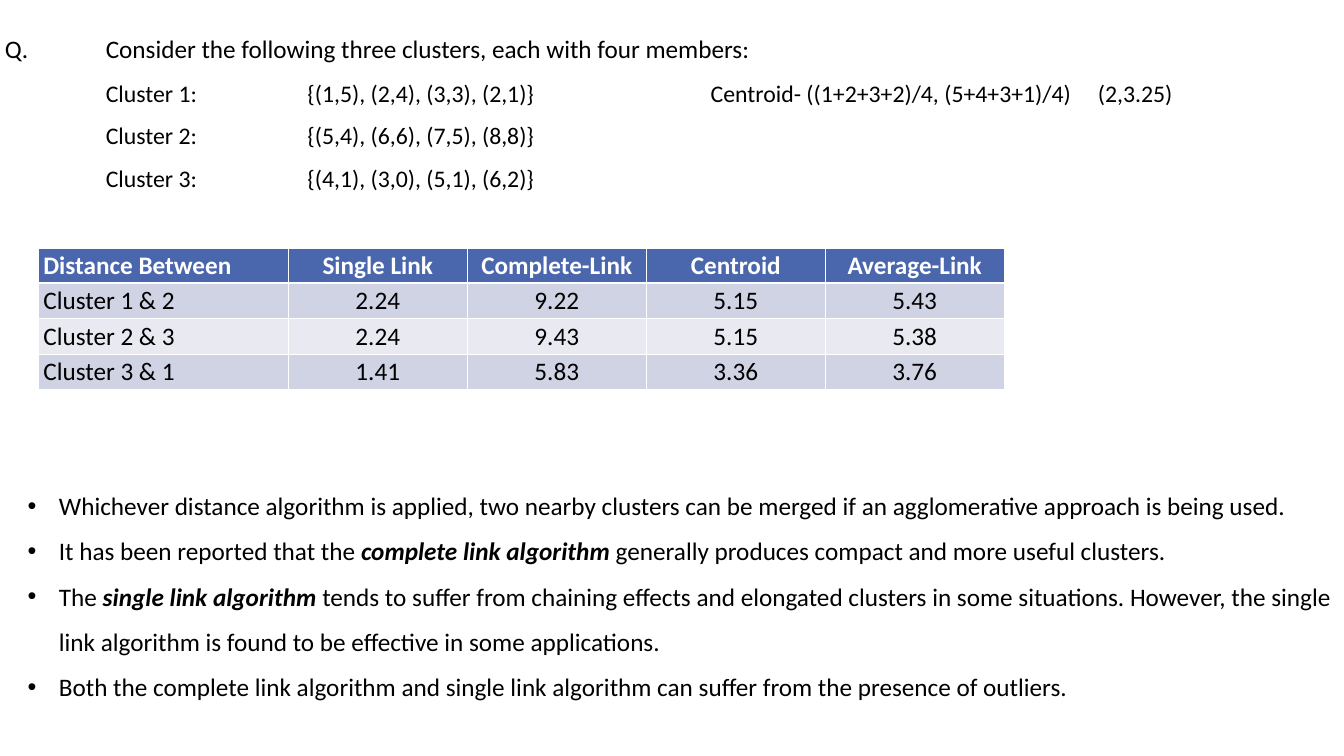
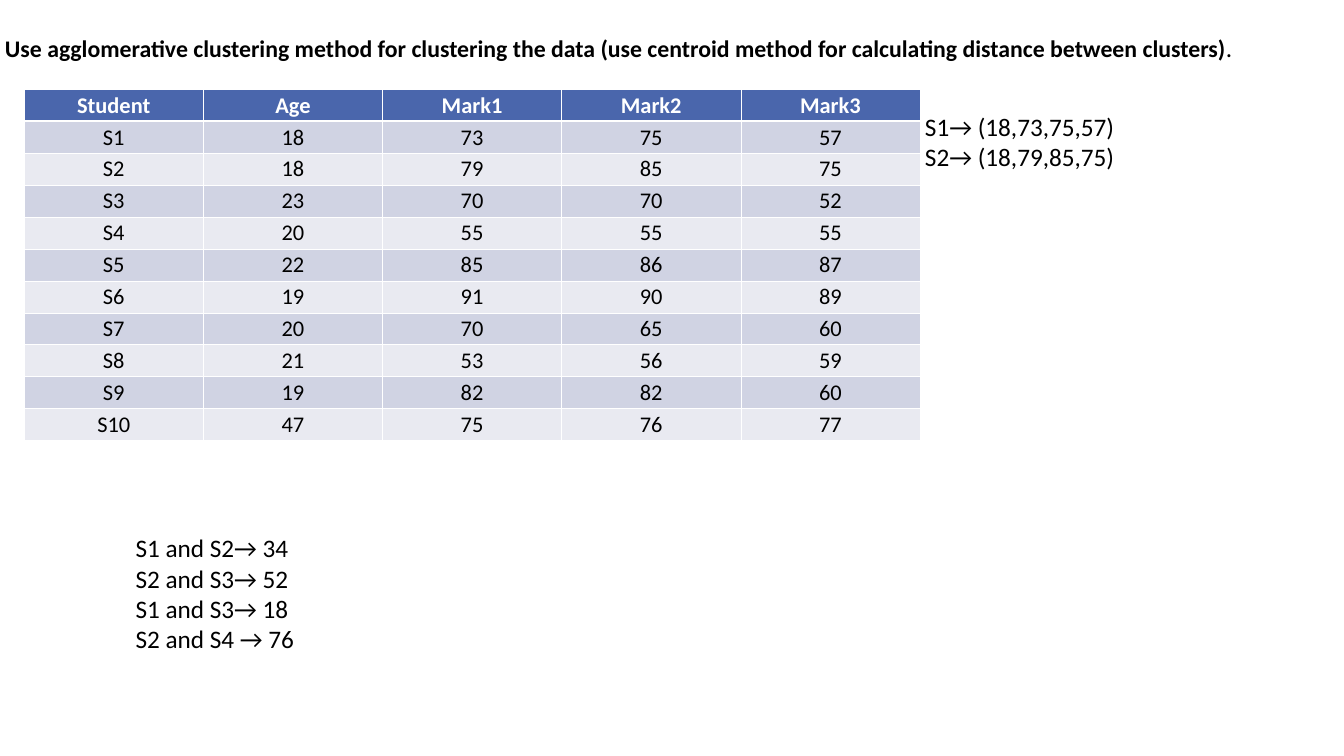
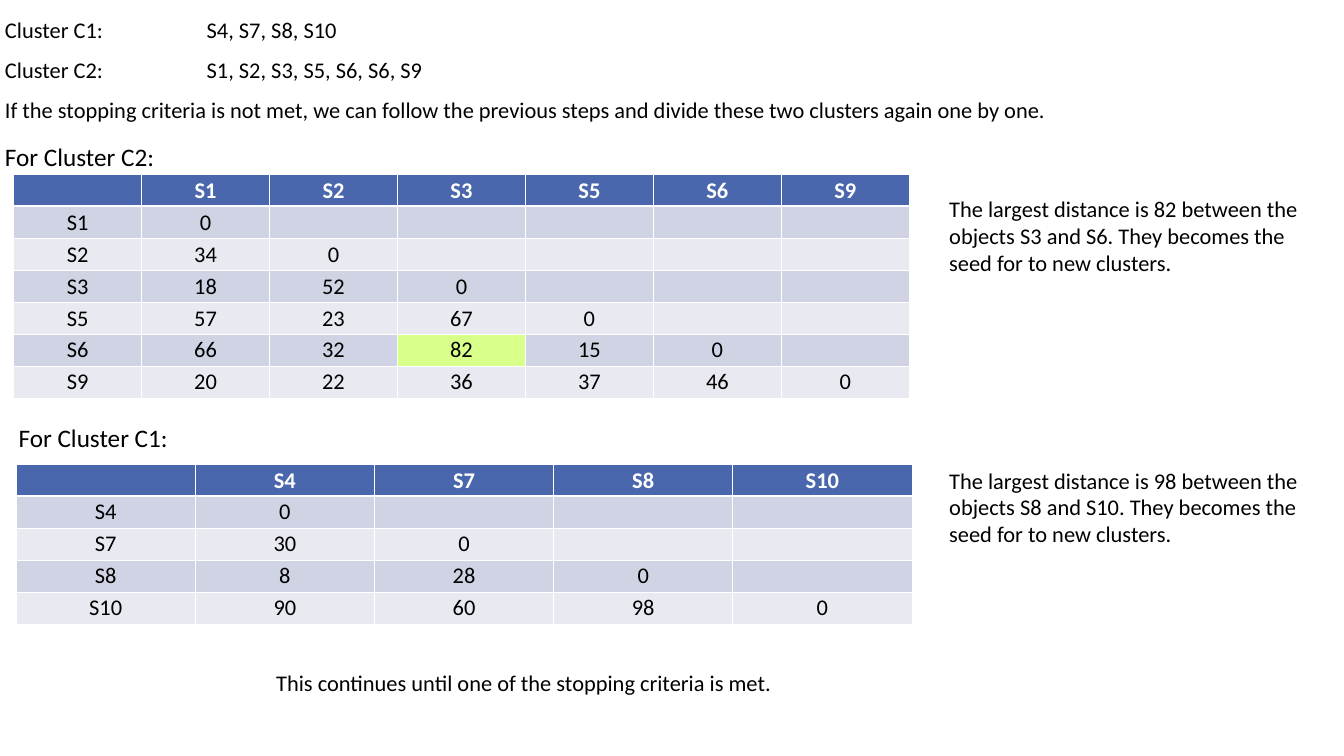
"""Builds three slides of worked cluster analysis examples."""
from lxml import etree
from pptx import Presentation
from pptx.dml.color import RGBColor
from pptx.enum.text import MSO_AUTO_SIZE, PP_ALIGN
from pptx.oxml.ns import qn
from pptx.util import Inches, Pt

CENTER, LEFT = PP_ALIGN.CENTER, PP_ALIGN.LEFT
GROW = MSO_AUTO_SIZE.SHAPE_TO_FIT_TEXT
FONT = "Calibri"
COLORS = {"header": "4A66AC", "odd": "D0D3E3", "even": "E9EAF1", "mark": "D8FF89",
          "border": "FFFFFF", "header_text": "FFFFFF", "text": "000000"}
BORDERS = {"lnL": 1, "lnR": 1, "lnT": 1, "lnB": 1}
STRONG = {"bold": True, "italic": True}
SLIDE_SIZE = (26.66, 15)
TABLE_WIDTH = 17.77
BULLET_INDENT = 0.62

QUESTION = ["Q.\tConsider the following three clusters, each with four members:"]
MEMBERS = [
    "\tCluster 1:\t{(1,5), (2,4), (3,3), (2,1)}\tCentroid- ((1+2+3+2)/4, (5+4+3+1)/4)\t(2,3.25)",
    "\tCluster 2:\t{(5,4), (6,6), (7,5), (8,8)}",
    "\tCluster 3:\t{(4,1), (3,0), (5,1), (6,2)}",
]
MEMBER_TABS = [2, 6, 14, 21.68]
LINK_DISTANCES = [
    ["Distance Between", "Single Link", "Complete-Link", "Centroid", "Average-Link"],
    ["Cluster 1 & 2", "2.24", "9.22", "5.15", "5.43"],
    ["Cluster 2 & 3", "2.24", "9.43", "5.15", "5.38"],
    ["Cluster 3 & 1", "1.41", "5.83", "3.36", "3.76"],
]
LINK_NOTES = [
    "Whichever distance algorithm is applied, two nearby clusters can be merged if an "
    "agglomerative approach is being used.",
    [("It has been reported that the ", {}), ("complete link algorithm", STRONG),
     (" generally produces compact and more useful clusters.", {})],
    [("The ", {}), ("single link algorithm", STRONG),
     (" tends to suffer from chaining effects and elongated clusters in some situations. "
      "However, the single link algorithm is found to be effective in some applications.", {})],
    "Both the complete link algorithm and single link algorithm can suffer from the "
    "presence of outliers.",
]

TASK = [[("Use agglomerative clustering method for clustering the data (use centroid method "
          "for calculating distance between clusters)", {"bold": True, "size": Pt(34)}),
         (".", {})]]
MARKS = [
    ["Student", "Age", "Mark1", "Mark2", "Mark3"],
    ["S1", 18, 73, 75, 57],
    ["S2", 18, 79, 85, 75],
    ["S3", 23, 70, 70, 52],
    ["S4", 20, 55, 55, 55],
    ["S5", 22, 85, 86, 87],
    ["S6", 19, 91, 90, 89],
    ["S7", 20, 70, 65, 60],
    ["S8", 21, 53, 56, 59],
    ["S9", 19, 82, 82, 60],
    ["S10", 47, 75, 76, 77],
]
VECTORS = ["S1→ (18,73,75,57)", "S2→ (18,79,85,75)"]
PAIR_DISTANCES = ["S1 and S2→ 34", "S2 and S3→ 52", "S1 and S3→ 18", "S2 and S4 → 76"]

SPLIT = [
    "Cluster C1:\tS4, S7, S8, S10",
    "Cluster C2:\tS1, S2, S3, S5, S6, S6, S9",
    "If the stopping criteria is not met, we can follow the previous steps and divide "
    "these two clusters again one by one.",
]
C2_DISTANCES = {"S1": [0], "S2": [34, 0], "S3": [18, 52, 0], "S5": [57, 23, 67, 0],
                "S6": [66, 32, 82, 15, 0], "S9": [20, 22, 36, 37, 46, 0]}
C1_DISTANCES = {"S4": [0], "S7": [30, 0], "S8": [8, 28, 0], "S10": [90, 60, 98, 0]}
SEED_NOTE = ("The largest distance is {} between the objects {} and {}. "
             "They becomes the seed for to new clusters.")
CLOSING = ["This continues until one of the stopping criteria is met."]


def set_font(font, size, color, **extra):
    values = {"name": FONT, "size": Pt(size), "bold": False, **extra}
    for attribute, value in values.items():
        setattr(font, attribute, value)
    font.color.rgb = RGBColor.from_string(COLORS[color])


def add_bullet(paragraph):
    properties = paragraph._p.get_or_add_pPr()
    properties.set("marL", str(Inches(BULLET_INDENT)))
    properties.set("indent", str(-Inches(BULLET_INDENT)))
    etree.SubElement(properties, qn("a:buFont"), typeface="Arial")
    etree.SubElement(properties, qn("a:buChar"), char="•")


def add_tabs(paragraph, stops):
    stop_list = etree.SubElement(paragraph._p.get_or_add_pPr(), qn("a:tabLst"))
    for stop in stops:
        etree.SubElement(stop_list, qn("a:tab"), pos=str(Inches(stop)), algn="l")


def add_text(slide, at, *groups, wrap=True):
    """Add one text box from groups of (paragraphs, size, spacing, tabs, bulleted)."""
    frame = slide.shapes.add_textbox(*map(Inches, at)).text_frame
    frame.word_wrap, frame.auto_size = wrap, GROW
    entries = [(line, group) for group in groups for line in group["lines"]]
    for index, (line, group) in enumerate(entries):
        paragraph = frame.add_paragraph() if index else frame.paragraphs[0]
        if "spacing" in group:
            paragraph.line_spacing = group["spacing"]
        if group.get("bulleted"):
            add_bullet(paragraph)
        if "tabs" in group:
            add_tabs(paragraph, group["tabs"])
        for words, extra in [(line, {})] if isinstance(line, str) else line:
            run = paragraph.add_run()
            run.text = words
            set_font(run.font, **{"size": group["size"], "color": "text"})
            for attribute, value in extra.items():
                setattr(run.font, attribute, value)


def add_borders(cell, widths):
    properties = cell._tc.get_or_add_tcPr()
    for side, width in widths.items():
        line = etree.SubElement(properties, qn("a:" + side), w=str(Pt(width)))
        fill = etree.SubElement(line, qn("a:solidFill"))
        etree.SubElement(fill, qn("a:srgbClr"), val=COLORS["border"])


def add_grid(slide, at, rows, size=32, widths=None, first_align=CENTER, marked=None):
    shape = slide.shapes.add_table(len(rows), len(rows[0]), *map(Inches, at))
    grid = shape.table
    for column, width in zip(grid.columns, widths or [at[2] / len(rows[0])] * len(rows[0])):
        column.width = Inches(width)
    for r, row in enumerate(rows):
        band = "header" if r == 0 else ("odd" if r % 2 else "even")
        for c, value in enumerate(row):
            cell = grid.cell(r, c)
            add_borders(cell, {**BORDERS, "lnB": 3} if r == 0 else
                        {**BORDERS, "lnT": 3} if r == 1 else BORDERS)
            cell.fill.solid()
            color = "mark" if (r, c) == marked else band
            cell.fill.fore_color.rgb = RGBColor.from_string(COLORS[color])
            if value == "":
                continue
            paragraph = cell.text_frame.paragraphs[0]
            paragraph.alignment = CENTER if c else first_align
            run = paragraph.add_run()
            run.text = str(value)
            set_font(run.font, size, "text" if r else "header_text", bold=r == 0)


def triangle(distances):
    """Return the header and the padded rows of a distance matrix."""
    names = list(distances)
    body = [[name, *values, *[""] * (len(names) - len(values))]
            for name, values in distances.items()]
    return [["", *names], *body]


deck = Presentation()
deck.slide_width, deck.slide_height = map(Inches, SLIDE_SIZE)
links, students, division = [deck.slides.add_slide(deck.slide_layouts[6]) for _ in range(3)]

add_text(links, (0, 0.02, 26.66, 3.89),
         {"lines": QUESTION, "size": 36, "spacing": 2.0, "tabs": MEMBER_TABS},
         {"lines": MEMBERS, "size": 34, "spacing": 1.5, "tabs": MEMBER_TABS})
add_grid(links, (0.76, 4.92, 19.18, 2.8), LINK_DISTANCES, size=36,
         widths=[4.96] + [3.55] * 4, first_align=LEFT)
add_text(links, (0.45, 9.38, 26.21, 4.64),
         {"lines": LINK_NOTES, "size": 36, "spacing": 1.5, "bulleted": True})

add_text(students, (0, 0, 26.35, 1.14), {"lines": TASK, "size": 36, "spacing": 2.0})
add_grid(students, (0.48, 1.77, TABLE_WIDTH, 6.97), MARKS)
add_text(students, (18.25, 2.16, 4.02, 1.31), {"lines": VECTORS, "size": 36}, wrap=False)
add_text(students, (2.59, 10.52, 13.34, 2.52), {"lines": PAIR_DISTANCES, "size": 36})

add_text(division, (0, 0, 26.35, 2.44),
         {"lines": SPLIT, "size": 32, "spacing": 1.5, "tabs": [4]})
for name, label_at, grid_at, note_top, distances, marked, seeds in [
    ("C2", (0, 2.75, 3.26, 0.71), (0.27, 3.46, TABLE_WIDTH, 4.43), 3.82,
     C2_DISTANCES, (5, 3), (82, "S3", "S6")),
    ("C1", (0.27, 8.33, 3.2, 0.71), (0.32, 9.21, TABLE_WIDTH, 3.17), 9.21,
     C1_DISTANCES, None, (98, "S8", "S10")),
]:
    add_text(division, label_at, {"lines": [f"For Cluster {name}:"], "size": 36}, wrap=False)
    add_grid(division, grid_at, triangle(distances), marked=marked)
    add_text(division, (18.73, note_top, 7.62, 1.72),
             {"lines": [SEED_NOTE.format(*seeds)], "size": 32})
add_text(division, (5.38, 13.22, 11.72, 0.64), {"lines": CLOSING, "size": 32})

deck.save("out.pptx")
